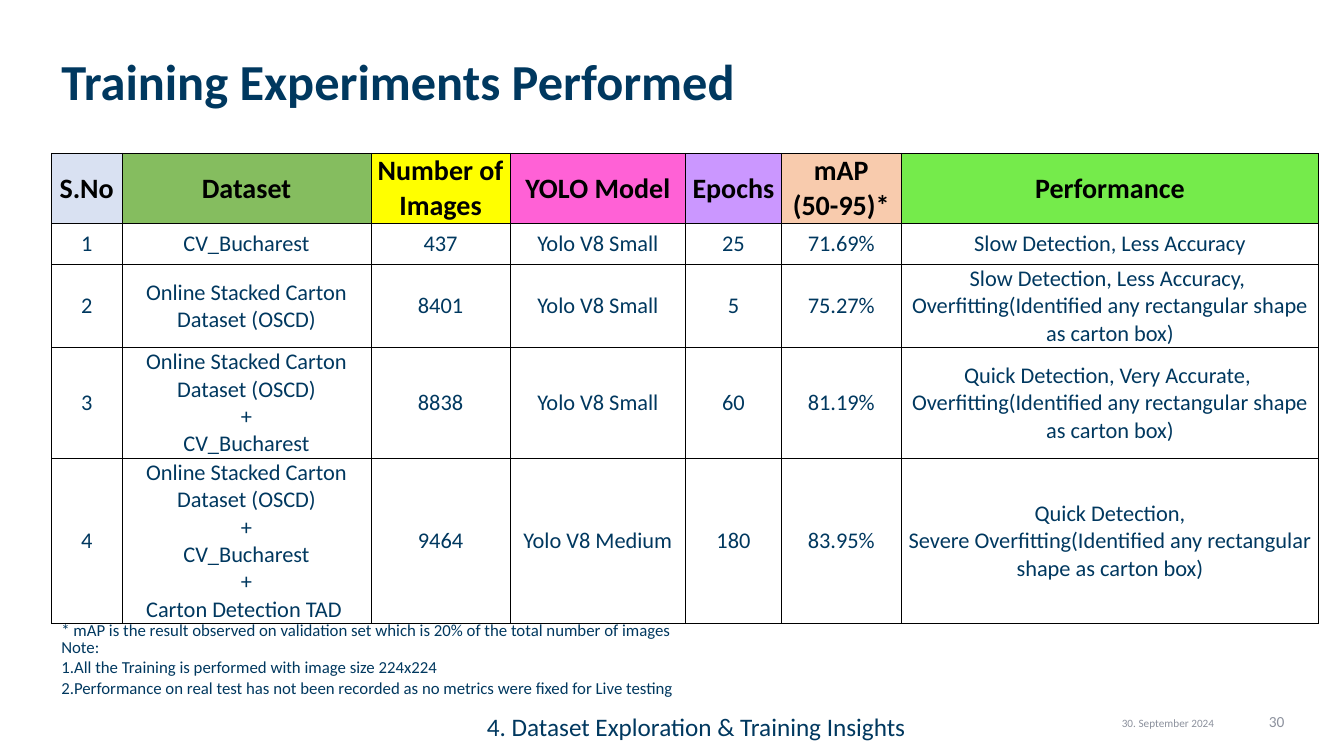
from copy import deepcopy

from lxml.etree import SubElement
from pptx import Presentation
from pptx.dml.color import RGBColor
from pptx.enum.text import MSO_ANCHOR, MSO_AUTO_SIZE, PP_ALIGN
from pptx.oxml.ns import qn
from pptx.util import Inches, Pt

NAVY = RGBColor(0x00, 0x38, 0x5F)
GRAY = RGBColor(0x8C, 0x91, 0x9D)
BLACK = RGBColor(0x00, 0x00, 0x00)
WHITE = RGBColor(0xFF, 0xFF, 0xFF)
LIGHT_BLUE = RGBColor(0xD9, 0xE1, 0xF2)
GREEN = RGBColor(0x85, 0xBD, 0x5F)
YELLOW = RGBColor(0xFF, 0xFF, 0x00)
PINK = RGBColor(0xFF, 0x61, 0xD6)
PURPLE = RGBColor(0xCB, 0x97, 0xFF)
PEACH = RGBColor(0xF8, 0xCB, 0xAD)
LIME = RGBColor(0x75, 0xEB, 0x4B)

COLUMNS = [
    ("S.No", 0.7, LIGHT_BLUE),
    ("Dataset", 2.47, GREEN),
    ("Number of Images", 1.38, YELLOW),
    ("YOLO Model", 1.74, PINK),
    ("Epochs", 0.95, PURPLE),
    ("mAP\n(50-95)*", 1.19, PEACH),
    ("Performance", 4.14, LIME),
]
ROW_HEIGHTS = [0.58, 0.41, 0.71, 0.94, 1.41]
STACKED = "Online Stacked Carton Dataset (OSCD)"
BUCHAREST = "CV_Bucharest"
OVERFITTING = "Overfitting(Identified any rectangular shape as carton box)"
EXPERIMENTS = [
    ("1", BUCHAREST, "437", "Yolo V8 Small", "25", "71.69%",
     "Slow Detection, Less Accuracy"),
    ("2", STACKED, "8401", "Yolo V8 Small", "5", "75.27%",
     f"Slow Detection, Less Accuracy, \v{OVERFITTING}"),
    ("3", f"{STACKED}\v+\v{BUCHAREST}", "8838", "Yolo V8 Small", "60", "81.19%",
     f"Quick Detection, Very Accurate, \v{OVERFITTING}"),
    ("4", f"{STACKED}\v+\v{BUCHAREST}\v+\vCarton Detection TAD ", "9464",
     "Yolo V8 Medium", "180", "83.95%",
     f"Quick Detection,\vSevere {OVERFITTING}"),
]
NOTES = (
    "Note:\n"
    "1.All the Training is performed with image size 224x224\n"
    "2.Performance on real test has not been recorded as no metrics were fixed for Live testing"
)


def write_text(text_frame, text, size=12, color=NAVY, bold=False,
               align=PP_ALIGN.LEFT, anchor=MSO_ANCHOR.TOP, line_spacing=None,
               font="Calibri"):
    text_frame.text = text
    text_frame.word_wrap = True
    text_frame.vertical_anchor = anchor
    for paragraph in text_frame.paragraphs:
        paragraph.alignment = align
        paragraph.line_spacing = line_spacing
        for run in paragraph.runs:
            run.font.name = font
            run.font.size = Pt(size)
            run.font.bold = bold
            run.font.color.rgb = color
        for line_break in paragraph._p.findall(qn("a:br")):
            line_break.append(deepcopy(paragraph.runs[0]._r.rPr))


def set_margins(target, left, top, right, bottom):
    target.margin_left = Inches(left)
    target.margin_top = Inches(top)
    target.margin_right = Inches(right)
    target.margin_bottom = Inches(bottom)


class SlideBuilder:
    def __init__(self, slide, border_color=BLACK, border_width=0.5):
        self.slide = slide
        self.border_color = border_color
        self.border_width = border_width

    def title(self, text, left, top, width, height):
        shape = self.slide.shapes.title
        shape.left, shape.top = Inches(left), Inches(top)
        shape.width, shape.height = Inches(width), Inches(height)
        set_margins(shape.text_frame, 0, 0, 0, 0)
        shape.text_frame.auto_size = MSO_AUTO_SIZE.NONE
        write_text(shape.text_frame, text, size=36, bold=True,
                   anchor=MSO_ANCHOR.MIDDLE, line_spacing=0.9)

    def text(self, text, left, top, width, height,
             margins=(0.1, 0.05, 0.1, 0.05), **text_format):
        shape = self.slide.shapes.add_textbox(
            Inches(left), Inches(top), Inches(width), Inches(height))
        set_margins(shape.text_frame, *margins)
        write_text(shape.text_frame, text, **text_format)

    def border(self, cell):
        properties = cell._tc.get_or_add_tcPr()
        for side in ("a:lnL", "a:lnR", "a:lnT", "a:lnB"):
            line = SubElement(properties, qn(side), w=str(Pt(self.border_width)))
            fill = SubElement(line, qn("a:solidFill"))
            SubElement(fill, qn("a:srgbClr"), val=str(self.border_color))

    def cell(self, cell, text, fill, **text_format):
        self.border(cell)
        cell.fill.solid()
        cell.fill.fore_color.rgb = fill
        set_margins(cell, 0.01, 0.01, 0.01, 0)
        write_text(cell.text_frame, text, align=PP_ALIGN.CENTER, **text_format)
        cell.vertical_anchor = MSO_ANCHOR.MIDDLE

    def table(self, left, top, columns, row_heights, records):
        width = sum(column[1] for column in columns)
        table = self.slide.shapes.add_table(
            len(row_heights), len(columns), Inches(left), Inches(top),
            Inches(width), Inches(sum(row_heights))).table
        table.first_row = False
        table.horz_banding = False
        for row, height in zip(table.rows, row_heights):
            row.height = Inches(height)
        for index, (heading, column_width, fill) in enumerate(columns):
            table.columns[index].width = Inches(column_width)
            self.cell(table.cell(0, index), heading, fill,
                      size=20, color=BLACK, bold=True)
            for row_index, record in enumerate(records, start=1):
                self.cell(table.cell(row_index, index), record[index], WHITE, size=16)


def main():
    presentation = Presentation()
    presentation.slide_width = Inches(13.33)
    presentation.slide_height = Inches(7.5)
    slide = presentation.slides.add_slide(presentation.slide_layouts[5])
    builder = SlideBuilder(slide)
    builder.title("Training Experiments Performed", 0.61, 0.57, 7.1, 0.53)
    builder.table(0.51, 1.52, COLUMNS, ROW_HEIGHTS, EXPERIMENTS)
    builder.text("* mAP is the result observed on validation set which is 20% "
                 "of the total number of images", 0.51, 6.1, 6.67, 0.3)
    builder.text(NOTES, 0.51, 6.27, 6.36, 0.71)
    builder.text("4. Dataset Exploration & Training Insights", 3.57, 7.01, 6.67, 0.4,
                 size=18, align=PP_ALIGN.CENTER)
    builder.text("30. September 2024", 10.76, 7.06, 1.65, 0.16,
                 margins=(0, 0.05, 0, 0), size=8, color=GRAY, align=PP_ALIGN.CENTER)
    builder.text("30", 12.42, 7.06, 0.32, 0.16,
                 margins=(0, 0.01, 0, 0), size=11, color=GRAY, align=PP_ALIGN.RIGHT)
    presentation.save("out.pptx")


if __name__ == "__main__":
    main()
